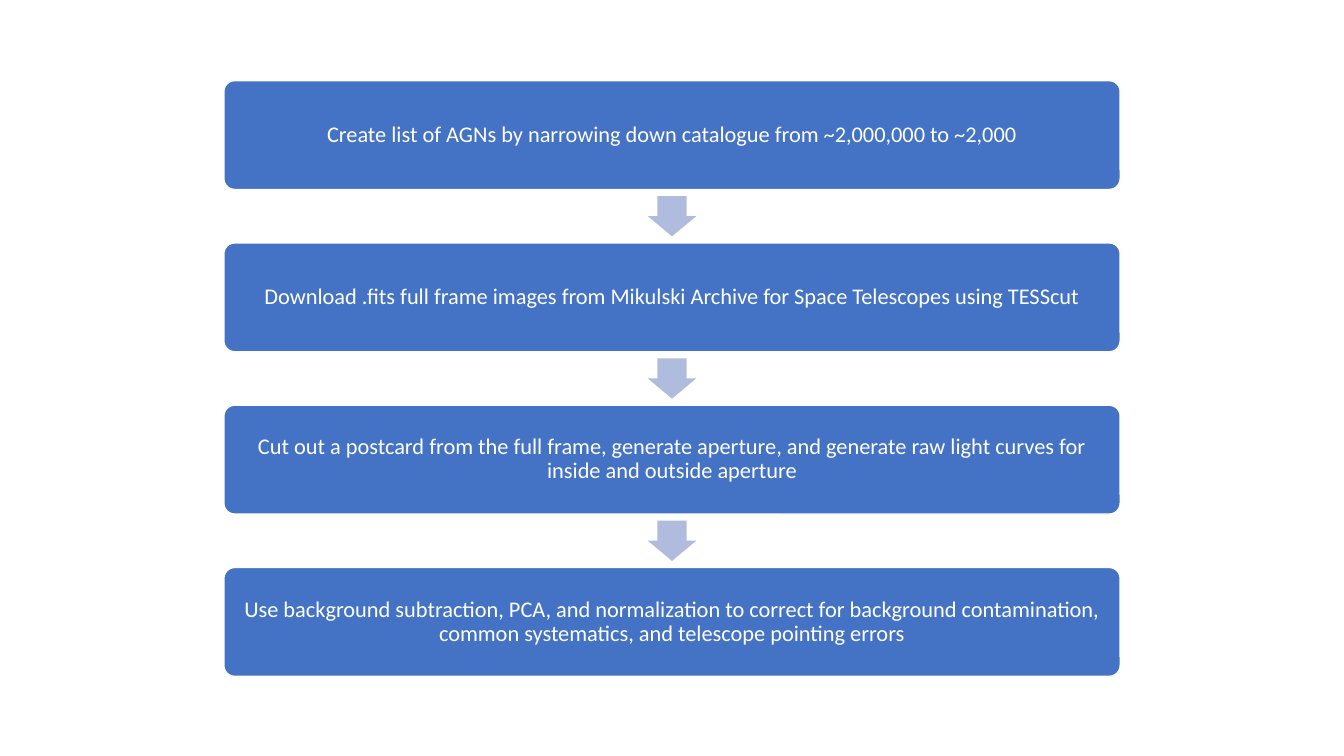
from dataclasses import dataclass

from pptx import Presentation
from pptx.dml.color import RGBColor
from pptx.enum.shapes import MSO_SHAPE
from pptx.enum.text import MSO_ANCHOR, PP_ALIGN
from pptx.shapes.autoshape import Shape
from pptx.slide import Slide
from pptx.util import Inches, Pt

ROUNDED_BOX = MSO_SHAPE.ROUNDED_RECTANGLE
DOWN_ARROW = MSO_SHAPE.DOWN_ARROW
MIDDLE = MSO_ANCHOR.MIDDLE
CENTER = PP_ALIGN.CENTER

COLORS = {"step": "4472C4", "arrow": "B0BCDE", "white": "FFFFFF"}
FONT = "Calibri"
BLANK_LAYOUT = 6

STEP_LEFT, STEP_WIDTH, STEP_HEIGHT = Inches(2.22), Inches(8.89), Inches(1.08)
FIRST_TOP, STEP_PITCH = Inches(0.8), Inches(1.61)
ARROW_WIDTH, ARROW_HEIGHT = Inches(0.48), Inches(0.4)
TEXT_INSET = Inches(0.07)


@dataclass(frozen=True)
class Step:
    text: str
    top: int


STEP_TEXTS = (
    "Create list of AGNs by narrowing down catalogue from ~2,000,000 to ~2,000",
    "Download .fits full frame images from Mikulski Archive for Space Telescopes using TESScut",
    "Cut out a postcard from the full frame, generate aperture, "
    "and generate raw light curves for inside and outside aperture",
    "Use background subtraction, PCA, and normalization to correct for background "
    "contamination, common systematics, and telescope pointing errors",
)
STEPS = [Step(text, FIRST_TOP + i * STEP_PITCH) for i, text in enumerate(STEP_TEXTS)]


def color(name: str) -> RGBColor:
    return RGBColor.from_string(COLORS[name])


def fill_flat(shape: Shape, fill_name: str) -> None:
    shape.shadow.inherit = False
    shape.fill.solid()
    shape.fill.fore_color.rgb = color(fill_name)


def draw_step(slide: Slide, step: Step) -> None:
    box = slide.shapes.add_shape(ROUNDED_BOX, STEP_LEFT, step.top, STEP_WIDTH, STEP_HEIGHT)
    box.adjustments[0] = 0.1
    fill_flat(box, "step")
    box.line.color.rgb = color("white")
    box.line.width = Pt(1)

    frame = box.text_frame
    frame.word_wrap = True
    frame.vertical_anchor = MIDDLE
    frame.margin_left = frame.margin_right = TEXT_INSET
    frame.margin_top = frame.margin_bottom = TEXT_INSET
    frame.text = step.text
    paragraph = frame.paragraphs[0]
    paragraph.alignment = CENTER
    paragraph.line_spacing = 0.9
    paragraph.font.name = FONT
    paragraph.font.size = Pt(16)
    paragraph.font.color.rgb = color("white")


def draw_arrow_below(slide: Slide, step: Step) -> None:
    """Centre an arrow in the gap between this step and the next."""
    left = STEP_LEFT + (STEP_WIDTH - ARROW_WIDTH) // 2
    top = step.top + (STEP_HEIGHT + STEP_PITCH - ARROW_HEIGHT) // 2
    arrow = slide.shapes.add_shape(DOWN_ARROW, left, top, ARROW_WIDTH, ARROW_HEIGHT)
    arrow.adjustments[0] = 0.6
    arrow.adjustments[1] = 0.5
    fill_flat(arrow, "arrow")
    arrow.line.fill.background()


def main() -> None:
    presentation = Presentation()
    presentation.slide_width = Inches(13.33)
    presentation.slide_height = Inches(7.5)
    slide = presentation.slides.add_slide(presentation.slide_layouts[BLANK_LAYOUT])
    for step in STEPS:
        draw_step(slide, step)
    for step in STEPS[:-1]:
        draw_arrow_below(slide, step)
    presentation.save("out.pptx")


if __name__ == "__main__":
    main()
